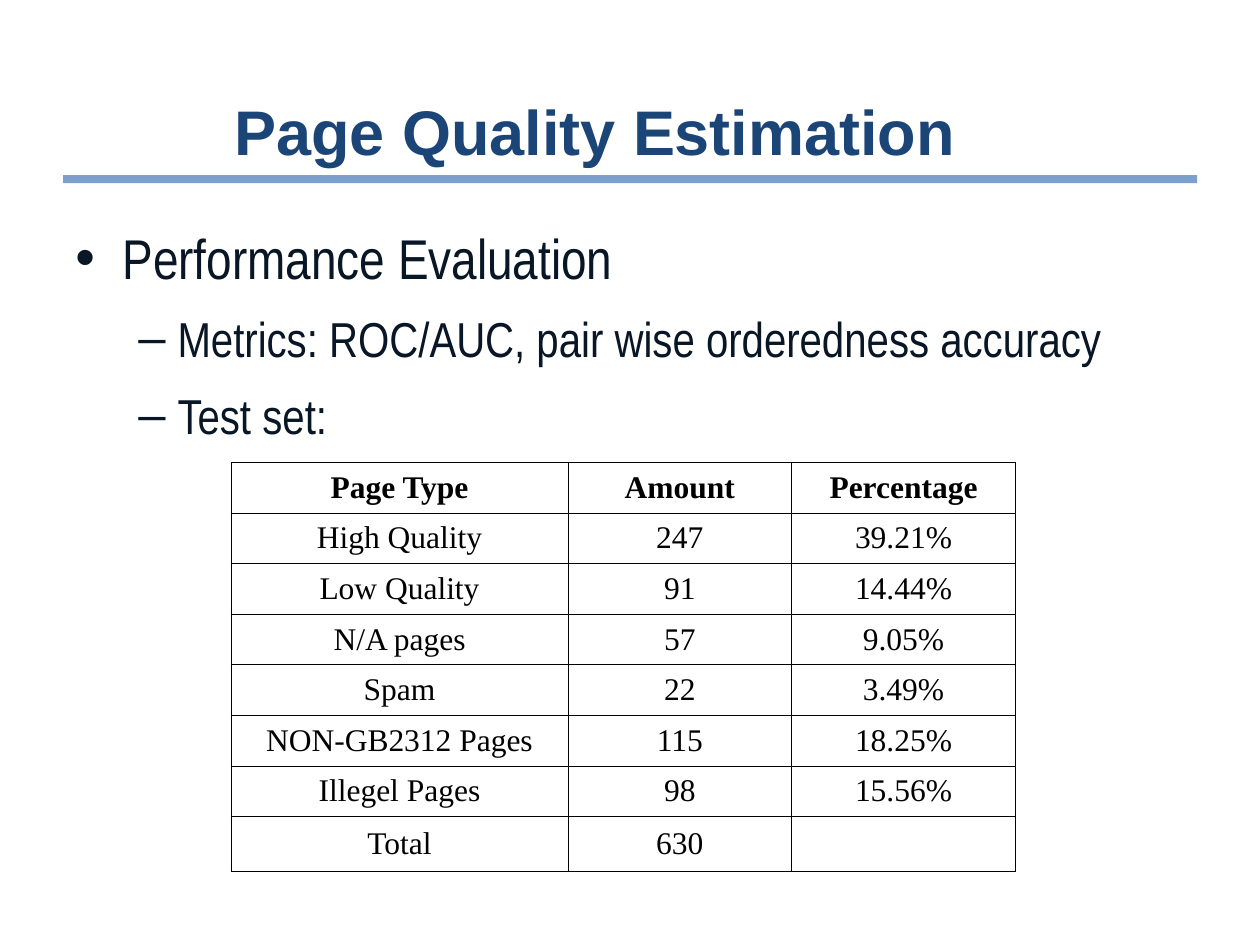
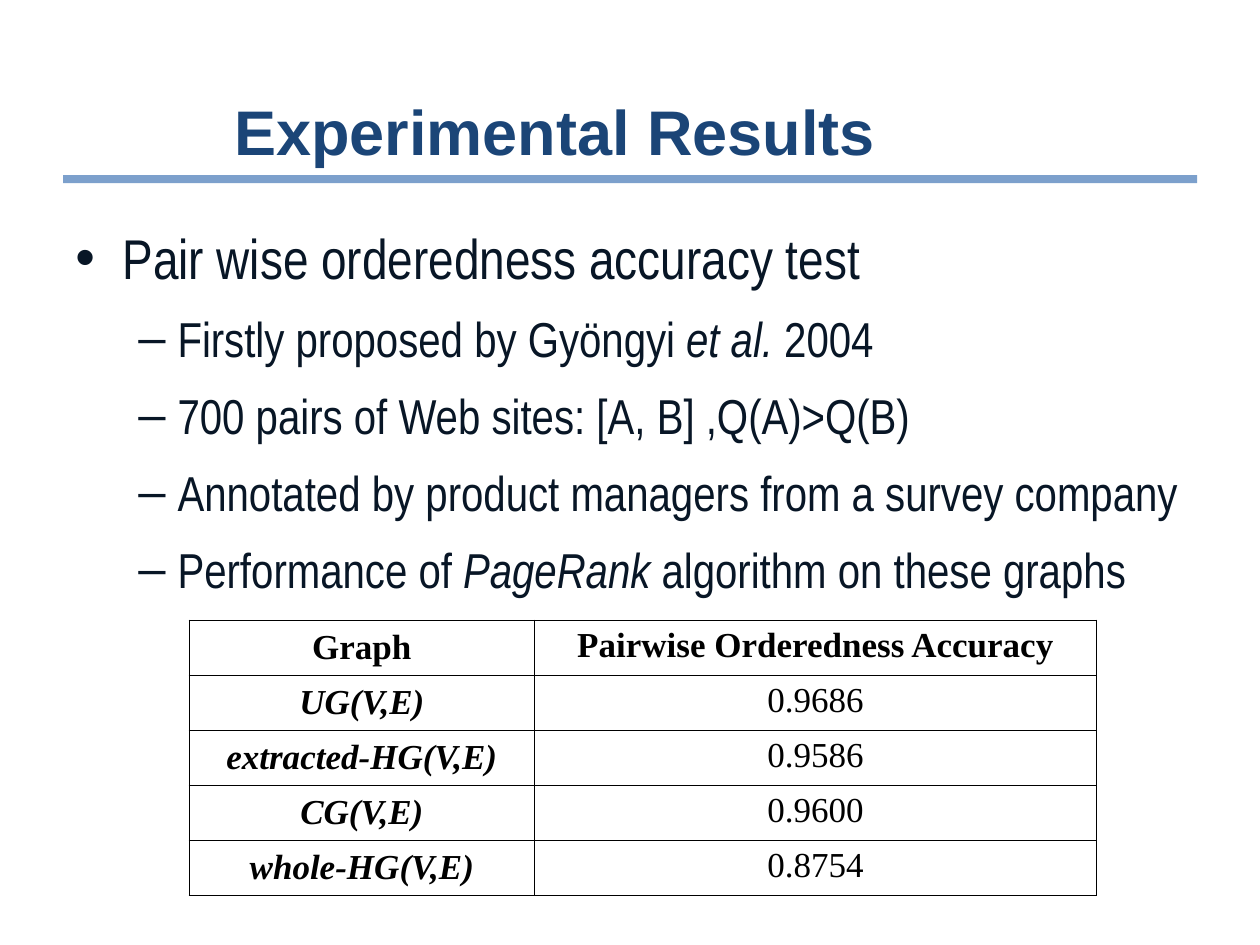
import pptx
import pptx.dml.color
import pptx.enum.shapes
import pptx.enum.text
import pptx.oxml
import pptx.oxml.ns
import pptx.util
from lxml import etree

Cm = pptx.util.Cm
Pt = pptx.util.Pt
qn = pptx.oxml.ns.qn
ANCHOR = pptx.enum.text.MSO_ANCHOR
ALIGN = pptx.enum.text.PP_ALIGN

COLORS = {"title": "1B4577", "rule": "2662AA", "body": "081626", "grid": "000000"}
BULLETS = [
    {"mark": "•", "size": 32, "indent": 0.95, "hang": 0.95, "before": 8},
    {"mark": "–", "size": 28, "indent": 2.06, "hang": 0.79, "before": 7},
]


class Deck:
    def __init__(self):
        self.prs = pptx.Presentation()
        self.prs.slide_width, self.prs.slide_height = Cm(25.4), Cm(19.05)
        self.slide = None

    def style(self, font, name, size, color, bold=None, italic=None):
        font.name, font.size = name, Pt(size)
        font.bold, font.italic = bold, italic
        font.color.rgb = pptx.dml.color.RGBColor.from_string(COLORS[color])

    def new_slide(self, heading):
        self.slide = self.prs.slides.add_slide(self.prs.slide_layouts[5])
        self.rule()
        title = self.slide.shapes.title
        title.left, title.top, title.width, title.height = Cm(4.47), Cm(1.45), Cm(19.25), Cm(2.36)
        frame = title.text_frame
        frame.text = heading
        frame.auto_size = pptx.enum.text.MSO_AUTO_SIZE.NONE
        frame.vertical_anchor = ANCHOR.MIDDLE
        frame.paragraphs[0].alignment = ALIGN.LEFT
        self.style(frame.paragraphs[0].font, "Arial", 36, "title", bold=True)

    def rule(self):
        line = self.slide.shapes.add_connector(
            pptx.enum.shapes.MSO_CONNECTOR.STRAIGHT, Cm(1.27), Cm(3.61), Cm(24.13), Cm(3.61))
        line.line.width = Pt(4.5)
        line.line.color.rgb = pptx.dml.color.RGBColor.from_string(COLORS["rule"])
        properties = line._element.spPr
        color = properties.find(".//" + qn("a:srgbClr"))
        etree.SubElement(color, qn("a:alpha"), val="60000")
        etree.SubElement(properties, qn("a:effectLst"))

    def bullets(self, items):
        box = self.slide.shapes.add_textbox(Cm(1.27), Cm(4.24), Cm(22.86), Cm(14.05))
        frame = box.text_frame
        frame.word_wrap = True
        for number, (level, *parts) in enumerate(items):
            look = BULLETS[level]
            paragraph = frame.add_paragraph() if number else frame.paragraphs[0]
            paragraph.level = level
            paragraph.line_spacing = 1.1
            paragraph.space_before = Pt(look["before"] if number else 0)
            properties = paragraph._p.get_or_add_pPr()
            properties.set("marL", str(Cm(look["indent"])))
            properties.set("indent", str(-Cm(look["hang"])))
            etree.SubElement(properties, qn("a:buFont"), typeface="Arial")
            etree.SubElement(properties, qn("a:buChar"), char=look["mark"])
            self.style(paragraph.font, "Arial Narrow", look["size"], "body")
            for position, part in enumerate(parts):
                run = paragraph.add_run()
                run.text = part
                if position % 2:
                    run.font.italic = True

    def border(self, cell):
        properties = cell._tc.get_or_add_tcPr()
        for number, side in enumerate(("a:lnL", "a:lnR", "a:lnT", "a:lnB")):
            edge = etree.Element(qn(side), w=str(Pt(0.45)))
            fill = etree.SubElement(edge, qn("a:solidFill"))
            etree.SubElement(fill, qn("a:srgbClr"), val=COLORS["grid"])
            properties.insert(number, edge)

    def table(self, left, top, widths, heights, rows, size, key_style, value_anchor):
        grid = self.slide.shapes.add_table(
            len(rows), len(widths), Cm(left), Cm(top), Cm(sum(widths)), Cm(sum(heights))).table
        grid.first_row = grid.horz_banding = False
        for column, width in zip(grid.columns, widths):
            column.width = Cm(width)
        for r, (height, values) in enumerate(zip(heights, rows)):
            grid.rows[r].height = Cm(height)
            for c, value in enumerate(values):
                cell = grid.cell(r, c)
                cell.text = value
                cell.fill.background()
                cell.vertical_anchor = value_anchor if c else ANCHOR.MIDDLE
                self.border(cell)
                paragraph = cell.text_frame.paragraphs[0]
                paragraph.alignment = ALIGN.CENTER
                is_key = key_style and r > 0 and c == 0
                self.style(paragraph.font, "Times New Roman", size, "grid",
                           bold=bool(r == 0 or is_key), italic=bool(is_key))


def main():
    deck = Deck()

    deck.new_slide("Page Quality Estimation")
    deck.bullets([
        (0, "Performance Evaluation"),
        (1, "Metrics: ROC/AUC, pair wise orderedness accuracy"),
        (1, "Test set:"),
    ])
    page_types = [
        ("Page Type", "Amount", "Percentage"),
        ("High Quality", "247", "39.21%"),
        ("Low Quality", "91", "14.44%"),
        ("N/A pages", "57", "9.05%"),
        ("Spam", "22", "3.49%"),
        ("NON-GB2312 Pages", "115", "18.25%"),
        ("Illegel Pages", "98", "15.56%"),
        ("Total", "630", ""),
    ]
    deck.table(4.66, 9.32, [6.79, 4.51, 4.51], [1.02] * 7 + [1.11], page_types,
               size=18, key_style=False, value_anchor=ANCHOR.MIDDLE)

    deck.new_slide("Experimental Results")
    deck.bullets([
        (0, "Pair wise orderedness accuracy test"),
        (1, "Firstly proposed by Gyöngyi ", "et al.", " 2004"),
        (1, "700 pairs of Web sites: [A, B] ,Q(A)>Q(B)"),
        (1, "Annotated by product managers from a survey company"),
        (1, "Performance of ", "PageRank", " algorithm on these graphs"),
    ])
    accuracies = [
        ("Graph", "Pairwise Orderedness Accuracy"),
        ("UG(V,E)", "0.9686"),
        ("extracted-HG(V,E)", "0.9586"),
        ("CG(V,E)", "0.9600"),
        ("whole-HG(V,E)", "0.8754"),
    ]
    deck.table(3.81, 12.5, [6.97, 11.32], [1.11] * 5, accuracies,
               size=20, key_style=True, value_anchor=ANCHOR.TOP)

    deck.prs.save("out.pptx")


if __name__ == "__main__":
    main()
